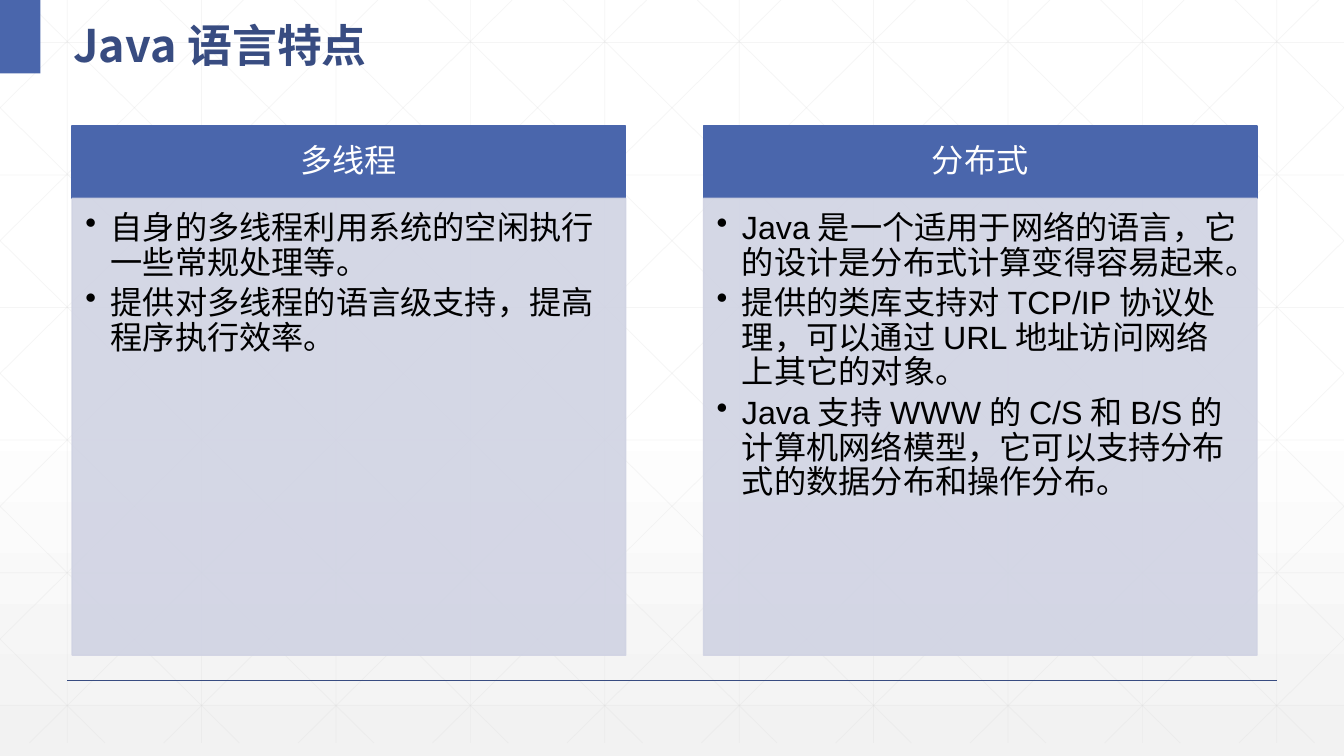
from dataclasses import dataclass

from copy import deepcopy
from lxml import etree
from pptx import Presentation
from pptx.dml.color import RGBColor
from pptx.enum.shapes import MSO_CONNECTOR, MSO_SHAPE
from pptx.enum.text import MSO_ANCHOR, PP_ALIGN
from pptx.oxml.ns import qn
from pptx.util import Cm, Pt

STRAIGHT = MSO_CONNECTOR.STRAIGHT
RECTANGLE = MSO_SHAPE.RECTANGLE
TOP, MIDDLE = MSO_ANCHOR.TOP, MSO_ANCHOR.MIDDLE
LEFT, CENTER = PP_ALIGN.LEFT, PP_ALIGN.CENTER

COLORS = {
    "white": "FFFFFF", "fade": "F2F2F2", "grid": "D9D9D9", "navy": "384C81",
    "blue": "4A66AC", "pale": "D0D3E3", "black": "000000",
}
LATIN, CJK = "Arial", "Noto Sans CJK SC"

# Lengths in centimetres
SLIDE_W, SLIDE_H = 33.87, 19.05
GRID_H = 18.72
GRID_STEP = SLIDE_W / 10
ROW_TOP, ROW_STEP = 1.07, 3.34
DIAGONAL_START, DIAGONAL_RUN = 0.64, 18.94
CARD_LEFT, CARD_TOP, CARD_W, CARD_STEP = 1.82, 3.18, 13.95, 15.91
HEADER_H, BODY_H = 1.82, 11.51
BULLET_INDENT = 0.64


@dataclass
class Feature:
    heading: str
    points: list[str]


FEATURES = [
    Feature("多线程", [
        "自身的多线程利用系统的空闲执行一些常规处理等。",
        "提供对多线程的语言级支持，提高程序执行效率。",
    ]),
    Feature("分布式", [
        "Java是一个适用于网络的语言，它的设计是分布式计算变得容易起来。",
        "提供的类库支持对TCP/IP协议处理，可以通过URL地址访问网络上其它的对象。",
        "Java支持WWW的C/S和B/S的计算机网络模型，它可以支持分布式的数据分布和操作分布。",
    ]),
]


def rgb(name: str) -> RGBColor:
    return RGBColor.from_string(COLORS[name])


def set_alpha(element, percent: int) -> None:
    """Make every solid colour below the element partly transparent."""
    for color in element.iter(qn("a:srgbClr")):
        etree.SubElement(color, qn("a:alpha"), val=str(percent * 1000))


def add_line(slide, start: tuple, end: tuple, color: str, width: float, alpha: int = 100) -> None:
    line = slide.shapes.add_connector(STRAIGHT, *(Cm(v) for v in (*start, *end)))
    line.line.color.rgb = rgb(color)
    line.line.width = Pt(width)
    properties = line._element.spPr
    etree.SubElement(properties, qn("a:effectLst"))
    if alpha < 100:
        set_alpha(properties, alpha)


def add_box(slide, box: tuple, color: str, outlined: bool = True, alpha: int = 100):
    shape = slide.shapes.add_shape(RECTANGLE, *(Cm(v) for v in box))
    shape.shadow.inherit = False
    shape.fill.solid()
    shape.fill.fore_color.rgb = rgb(color)
    if outlined:
        shape.line.color.rgb = rgb(color)
        shape.line.width = Pt(1)
    else:
        shape.line.fill.background()
    if alpha < 100:
        set_alpha(shape._element.spPr, alpha)
    return shape


def write_text(shape, *texts: str, color: str, size: float = 23, font: str = LATIN,
               bold: bool = False, align=LEFT, anchor=TOP, spacing: float = 0.9, after: float = 0,
               insets: tuple = (0.25, 0.13, 0.25, 0.13), bulleted: bool = False) -> None:
    frame = shape.text_frame
    frame.word_wrap = True
    frame.vertical_anchor = anchor
    (frame.margin_left, frame.margin_top,
     frame.margin_right, frame.margin_bottom) = (Cm(v) for v in insets)
    for index, text in enumerate(texts):
        paragraph = frame.add_paragraph() if index else frame.paragraphs[0]
        paragraph.alignment = align
        paragraph.line_spacing = spacing
        paragraph.space_after = Pt(after)
        if bulleted:
            paragraph.level = 1
            properties = paragraph._p.get_or_add_pPr()
            properties.set("marL", str(Cm(BULLET_INDENT)))
            properties.set("indent", str(-Cm(BULLET_INDENT)))
            etree.SubElement(properties, qn("a:buChar"), char="•")
        run = paragraph.add_run()
        run.text = text
        run.font.name = font
        run.font.size = Pt(size)
        run.font.bold = bold
        run.font.color.rgb = rgb(color)
        etree.SubElement(run._r.get_or_add_rPr(), qn("a:ea"), typeface=CJK)


def draw_background(slide) -> None:
    fill = slide.background.fill
    fill.gradient()
    fill.gradient_angle = 270
    stops = slide._element.find(".//" + qn("a:gsLst"))
    stops.insert(1, deepcopy(stops[0]))
    for stop, position, color in zip(fill.gradient_stops, (0, 0.53, 1), ("white", "white", "fade")):
        stop.color.rgb = rgb(color)
        stop.position = position
    set_alpha(stops[2], 65)


def draw_grid(slide) -> None:
    def grid_line(start: tuple, end: tuple) -> None:
        add_line(slide, start, end, "grid", 0.5, alpha=25)

    for column in range(10):
        x = (column + 0.5) * GRID_STEP
        grid_line((x, 0), (x, GRID_H))
    for row in range(6):
        y = ROW_TOP + row * ROW_STEP
        grid_line((0, y), (SLIDE_W, y))

    # Diagonals are cut at the slide edges and mirrored left to right
    slope = GRID_H / DIAGONAL_RUN
    for column in range(-5, 10):
        origin = DIAGONAL_START + column * GRID_STEP
        x1, x2 = max(origin, 0), min(origin + DIAGONAL_RUN, SLIDE_W)
        y1, y2 = (x1 - origin) * slope, (x2 - origin) * slope
        grid_line((x1, y1), (x2, y2))
        grid_line((SLIDE_W - x1, y1), (SLIDE_W - x2, y2))


def draw_card(slide, feature: Feature, left: float) -> None:
    header = add_box(slide, (left, CARD_TOP, CARD_W, HEADER_H), "blue")
    write_text(header, feature.heading, color="white", align=CENTER, anchor=MIDDLE,
               insets=(0.46, 0.25, 0.46, 0.25))
    body = add_box(slide, (left, CARD_TOP + HEADER_H, CARD_W, BODY_H), "pale", alpha=90)
    write_text(body, *feature.points, color="black", after=4, bulleted=True,
               insets=(0.33, 0.33, 0.46, 0.5))


def main() -> None:
    presentation = Presentation()
    presentation.slide_width, presentation.slide_height = Cm(SLIDE_W), Cm(SLIDE_H)
    slide = presentation.slides.add_slide(presentation.slide_layouts[6])

    # Backdrop and footer rule
    draw_background(slide)
    draw_grid(slide)
    add_line(slide, (1.69, 17.14), (32.18, 17.14), "navy", 1)

    # Title with its corner block
    add_box(slide, (0, 0, 1.02, 1.85), "blue", outlined=False)
    title = slide.shapes.add_textbox(Cm(1.6), Cm(0), Cm(14.45), Cm(1.85))
    write_text(title, "Java语言特点", color="navy", size=32, font=CJK, bold=True,
               anchor=MIDDLE, spacing=1.3)

    # Feature cards
    for index, feature in enumerate(FEATURES):
        draw_card(slide, feature, CARD_LEFT + index * CARD_STEP)

    presentation.save("out.pptx")


if __name__ == "__main__":
    main()
